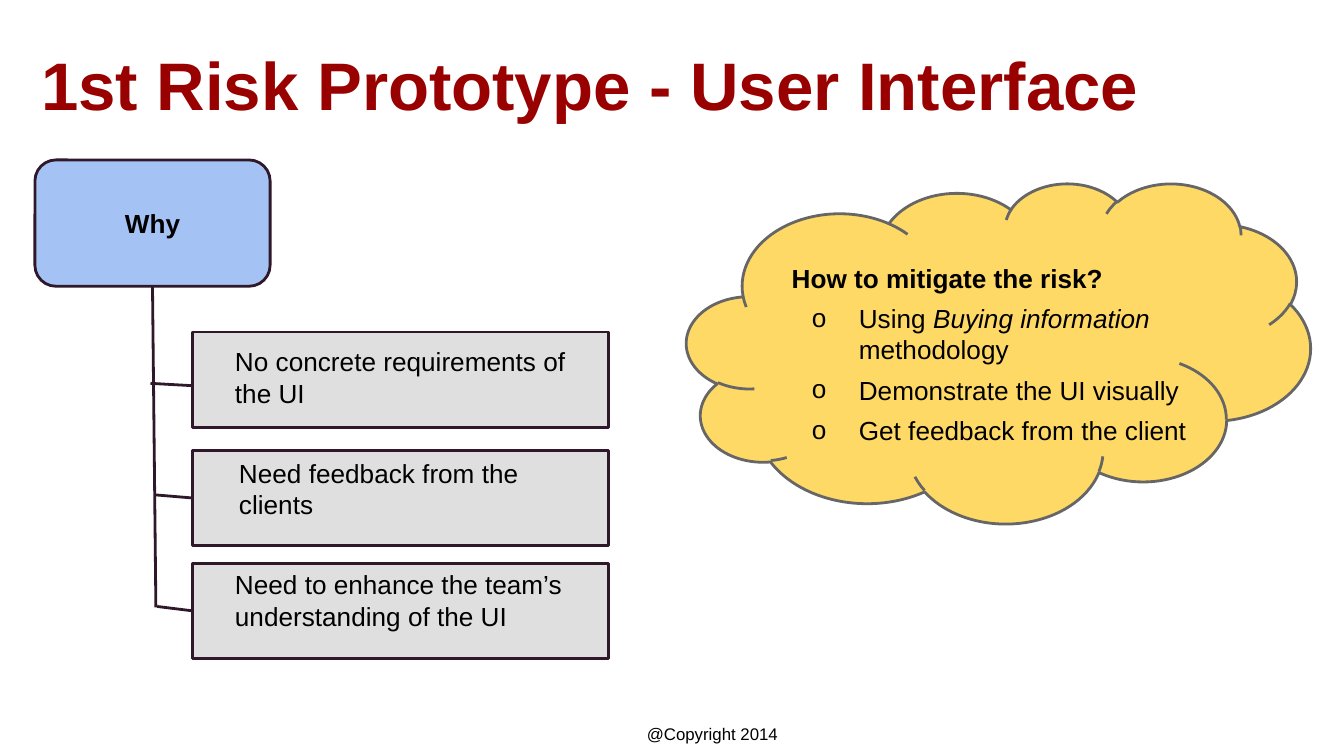
from dataclasses import dataclass
from typing import Optional

from lxml import etree
from pptx import Presentation, util as u
from pptx.dml.color import RGBColor
from pptx.enum import shapes, text
from pptx.oxml import ns

WIDTH = u.Inches(10)
HEIGHT = WIDTH * 9 // 16
FONT = "Arial"
BLACK = RGBColor(0x00, 0x00, 0x00)
RED = RGBColor(0x99, 0x00, 0x00)
BLUE = RGBColor(0xA4, 0xC2, 0xF4)
GREY = RGBColor(0xDF, 0xDF, 0xDF)
YELLOW = RGBColor(0xFF, 0xD9, 0x66)
PLUM = RGBColor(0x30, 0x18, 0x2B)
DARK_GREY = RGBColor(0x66, 0x66, 0x66)
LABEL_TOP, LABEL_STEP, SPUR_DROP = 43.95, 14.76, 6.76


@dataclass(frozen=True)
class Area:
    """Position and size in percent of the slide."""
    left: float
    top: float
    width: float
    height: float

    def emu(self) -> tuple[int, int, int, int]:
        return x(self.left), y(self.top), x(self.width), y(self.height)


@dataclass(frozen=True)
class Reason:
    words: str
    box_top: float
    label_left: float
    label_width: float
    label_height: float
    spur_left: float
    spur_end: Optional[float] = None


REASONS = [
    Reason("No concrete requirements of the UI", 43.91, 16.5, 28.8, 10.31, 11.2, 51.02),
    Reason("Need feedback from the clients", 59.56, 16.8, 26, 10.31, 11.6),
    Reason("Need to enhance the team’s understanding of the UI", 74.49, 16.5, 27.6, 8.18, 11.7),
]
MITIGATIONS = [
    [("Using ", False), ("Buying information", True), (" methodology", False)],
    [("Demonstrate the UI visually", False)],
    [("Get feedback from the client", False)],
]


def x(percent: float) -> int:
    return round(WIDTH * percent / 100)


def y(percent: float) -> int:
    return round(HEIGHT * percent / 100)


def place(sp, area: Area) -> None:
    sp.left, sp.top, sp.width, sp.height = area.emu()


def set_frame(sp, anchor=text.MSO_ANCHOR.TOP, top=0.1):
    tf = sp.text_frame
    tf.word_wrap = True
    tf.auto_size = text.MSO_AUTO_SIZE.NONE
    tf.vertical_anchor = anchor
    tf.margin_left = tf.margin_right = tf.margin_bottom = u.Inches(0.1)
    tf.margin_top = u.Inches(top)
    return tf


def style(p, size=14, bold=False, color=BLACK, before=0.0, align=text.PP_ALIGN.LEFT) -> None:
    p.alignment = align
    p.space_before = u.Pt(before)
    p.font.name, p.font.size, p.font.bold = FONT, u.Pt(size), bold
    p.font.color.rgb = color


def set_bullet(p, left: float, indent: float, char: str = "") -> None:
    pPr = p._p.get_or_add_pPr()
    pPr.set("marL", str(u.Inches(left)))
    pPr.set("indent", str(u.Inches(indent)))
    tags = [("buFont", "typeface", FONT), ("buChar", "char", char)] if char else [("buNone", "", "")]
    successors = ("a:tabLst", "a:defRPr", "a:extLst")
    for tag, name, value in tags:
        el = etree.Element(ns.qn("a:" + tag))
        if name:
            el.set(name, value)
        pPr.insert_element_before(el, *successors)


def add_box(s, kind, area: Area, fill: RGBColor, line: RGBColor):
    sp = s.shapes.add_shape(kind, *area.emu())
    sp.shadow.inherit = False
    sp.fill.solid()
    sp.fill.fore_color.rgb = fill
    sp.line.color.rgb = line
    sp.line.width = u.Pt(1.5)
    return sp


def add_label(s, area: Area, words: str, anchor=text.MSO_ANCHOR.TOP, **look) -> None:
    tf = set_frame(s.shapes.add_textbox(*area.emu()), anchor)
    tf.text = words
    style(tf.paragraphs[0], **look)


def add_line(s, x1: float, y1: float, x2: float, y2: float):
    cx = s.shapes.add_connector(shapes.MSO_CONNECTOR.STRAIGHT, x(x1), y(y1), x(x2), y(y2))
    cx.line.color.rgb = PLUM
    cx.line.width = u.Pt(1.5)
    etree.SubElement(cx._element.spPr, ns.qn("a:effectLst"))
    return cx


def add_reasons(s, why) -> None:
    trunk = add_line(s, 11.4, 37.87, 11.6, 80.36)
    trunk.begin_connect(why, 2)
    for i, reason in enumerate(REASONS):
        box = add_box(s, shapes.MSO_SHAPE.RECTANGLE, Area(14.3, reason.box_top, 31, 12.62), GREY, PLUM)
        top = LABEL_TOP + i * LABEL_STEP
        add_label(s, Area(reason.label_left, top, reason.label_width, reason.label_height),
                  reason.words, before=4.8)
        start = top + SPUR_DROP
        spur = add_line(s, reason.spur_left, start, 14.3, reason.spur_end or start)
        if reason.spur_end is None:
            spur.end_connect(box, 1)


def fill_mitigation(body) -> None:
    place(body, Area(52.9, 26.13, 36.8, 41.07))
    tf = set_frame(body, top=0.48)
    tf.text = "How to mitigate the risk?"
    style(tf.paragraphs[0], bold=True, before=6)
    set_bullet(tf.paragraphs[0], 0, 0.5)
    for item in MITIGATIONS:
        p = tf.add_paragraph()
        p.level = 1
        style(p, before=4.8)
        set_bullet(p, 1, -0.35, "o")
        for words, italic in item:
            r = p.add_run()
            r.text = words
            r.font.italic = italic


def main() -> None:
    prs = Presentation()
    prs.slide_width, prs.slide_height = WIDTH, HEIGHT
    s = prs.slides.add_slide(prs.slide_layouts[1])
    title, body = s.placeholders

    place(title, Area(-2.8, 0, 93.4, 18.13))
    tf = set_frame(title, text.MSO_ANCHOR.BOTTOM)
    tf.text = "1st Risk Prototype - User Interface"
    style(tf.paragraphs[0], 36, True, RED, align=text.PP_ALIGN.CENTER)

    add_box(s, shapes.MSO_SHAPE.CLOUD, Area(51.1, 24.18, 46.4, 44.98), YELLOW, DARK_GREY)
    s.shapes._spTree.append(body._element)
    fill_mitigation(body)

    why = add_box(s, shapes.MSO_SHAPE.ROUNDED_RECTANGLE, Area(2.6, 21.16, 17.5, 16.71), BLUE, PLUM)
    tf = set_frame(why, text.MSO_ANCHOR.MIDDLE)
    tf.text = "Why"
    style(tf.paragraphs[0], bold=True, align=text.PP_ALIGN.CENTER)
    add_reasons(s, why)

    add_label(s, Area(36.6, 67.91, 32.8, 58.31), "@Copyright 2014", text.MSO_ANCHOR.MIDDLE,
              size=9, before=3.6, align=text.PP_ALIGN.CENTER)
    prs.save("out.pptx")


if __name__ == "__main__":
    main()
